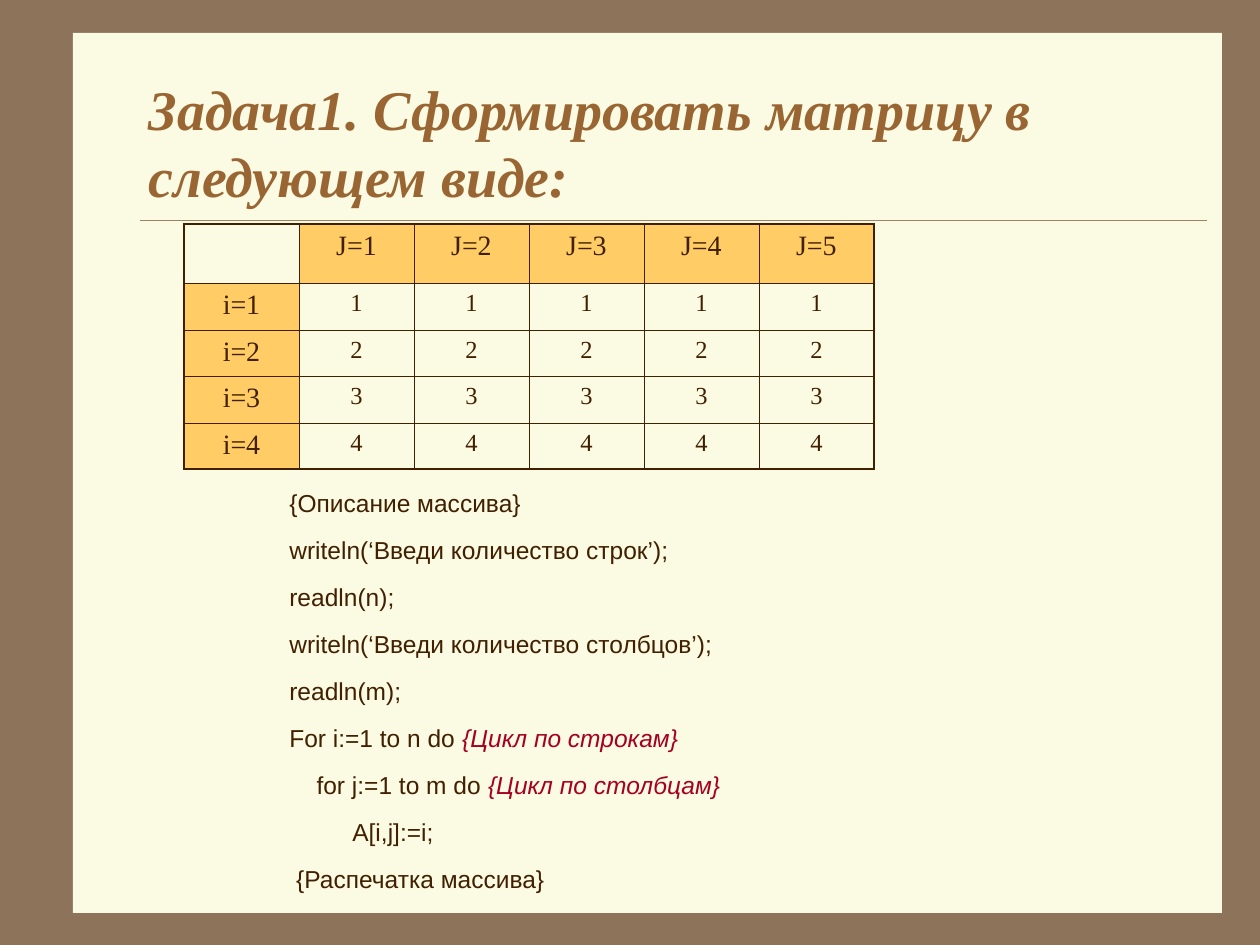
from dataclasses import dataclass

from lxml import etree
from pptx import Presentation
from pptx import util as u
from pptx.dml.color import RGBColor
from pptx.enum import shapes, text
from pptx.oxml import ns


@dataclass(frozen=True)
class Theme:
    frame: str = "8C735A"
    paper: str = "FBFAE2"
    rule: str = "A08366"
    title: str = "996633"
    ink: str = "402000"
    header: str = "FFCC66"
    comment: str = "A50021"
    serif: str = "Times New Roman"
    sans: str = "Arial"
    title_size: int = 32
    header_size: int = 16
    body_size: int = 14
    rule_width: float = 0.25
    inner_border: float = 0.45
    outer_border: float = 1.08


THEME = Theme()
EMU_PER_PX = u.Inches(1) / 126
COLUMN_WIDTH = 115
ROW_HEIGHTS = [59, 47, 46, 47, 46]
MATRIX = [["", *(f"J={j}" for j in range(1, 6))]]
MATRIX += [[f"i={i}", *[str(i)] * 5] for i in range(1, 5)]
# Each line of the program: code, then its comment
PROGRAM = [
    ("{Описание массива}", ""),
    ("writeln(‘Введи количество строк’);", ""),
    ("readln(n);", ""),
    ("writeln(‘Введи количество столбцов’);", ""),
    ("readln(m);", ""),
    ("For i:=1 to n do ", "{Цикл по строкам}"),
    ("    for j:=1 to m do ", "{Цикл по столбцам}"),
    ("\tA[i,j]:=i;", ""),
    (" {Распечатка массива}", ""),
]


def px(*lengths):
    return [u.Emu(round(length * EMU_PER_PX)) for length in lengths]


def rgb(color):
    return RGBColor.from_string(color)


def style(font, name, size, color, bold=False, italic=False):
    font.name, font.size = name, u.Pt(size)
    font.color.rgb = rgb(color)
    font.bold, font.italic = bold, italic


def add_panel(slide):
    panel = slide.shapes.add_shape(shapes.MSO_SHAPE.RECTANGLE, *px(73, 33, 1149, 880))
    panel.shadow.inherit = False
    panel.fill.solid()
    panel.fill.fore_color.rgb = rgb(THEME.paper)
    panel.line.fill.background()
    return panel


def add_rule(slide):
    rule = slide.shapes.add_connector(
        shapes.MSO_CONNECTOR.STRAIGHT, *px(140, 220, 1207, 220))
    rule.line.color.rgb = rgb(THEME.rule)
    rule.line.width = u.Pt(THEME.rule_width)
    etree.SubElement(rule._element.spPr, ns.qn("a:effectLst"))
    return rule


def fill_title(title):
    title.left, title.top, title.width, title.height = px(136, 63, 1071, 158)
    frame = title.text_frame
    frame.text = "Задача1. Сформировать матрицу в следующем виде:"
    frame.auto_size = text.MSO_AUTO_SIZE.NONE
    frame.vertical_anchor = text.MSO_ANCHOR.MIDDLE
    paragraph = frame.paragraphs[0]
    paragraph.alignment = text.PP_ALIGN.LEFT
    style(paragraph.runs[0].font, THEME.serif, THEME.title_size, THEME.title,
          bold=True, italic=True)


def set_borders(cell, outer_sides):
    """Draw all four sides, thicker on the table's outer edge."""
    properties = cell._tc.get_or_add_tcPr()
    for index, side in enumerate("LRTB"):
        width = THEME.outer_border if side in outer_sides else THEME.inner_border
        line = etree.Element(ns.qn(f"a:ln{side}"), w=str(u.Pt(width)))
        fill = etree.SubElement(line, ns.qn("a:solidFill"))
        etree.SubElement(fill, ns.qn("a:srgbClr"), val=THEME.ink)
        properties.insert(index, line)


def fill_cell(cell, value, is_header):
    cell.margin_left = cell.margin_right = u.Inches(0.1)
    cell.margin_top = cell.margin_bottom = u.Inches(0.05)
    if is_header and value:
        cell.fill.solid()
        cell.fill.fore_color.rgb = rgb(THEME.header)
    else:
        cell.fill.background()
    cell.text_frame.text = value
    paragraph = cell.text_frame.paragraphs[0]
    paragraph.alignment = text.PP_ALIGN.CENTER
    size = THEME.header_size if is_header else THEME.body_size
    for run in paragraph.runs:
        style(run.font, THEME.serif, size, THEME.ink)


def add_matrix(slide):
    row_count, column_count = len(MATRIX), len(MATRIX[0])
    table = slide.shapes.add_table(
        row_count, column_count,
        *px(184, 224, COLUMN_WIDTH * column_count, sum(ROW_HEIGHTS))).table
    table.first_row = table.horz_banding = False
    for column in table.columns:
        column.width, = px(COLUMN_WIDTH)
    for row, height in zip(table.rows, ROW_HEIGHTS):
        row.height, = px(height)
    for i, values in enumerate(MATRIX):
        for j, value in enumerate(values):
            cell = table.cell(i, j)
            fill_cell(cell, value, i == 0 or j == 0)
            edges = {"L": j == 0, "R": j == column_count - 1,
                     "T": i == 0, "B": i == row_count - 1}
            set_borders(cell, [side for side, outer in edges.items() if outer])


def add_program(slide):
    frame = slide.shapes.add_textbox(*px(277, 464, 983, 484)).text_frame
    frame.word_wrap = True
    frame.text = "\n".join(code for code, _ in PROGRAM)
    for paragraph, (_, comment) in zip(frame.paragraphs, PROGRAM):
        paragraph.line_spacing = 1.6
        style(paragraph.runs[0].font, THEME.sans, THEME.body_size, THEME.ink)
        if comment:
            run = paragraph.add_run()
            run.text = comment
            style(run.font, THEME.sans, THEME.body_size, THEME.comment, italic=True)


def main():
    presentation = Presentation()
    presentation.slide_width, presentation.slide_height = px(1260, 945)
    slide = presentation.slides.add_slide(presentation.slide_layouts[5])
    slide.background.fill.solid()
    slide.background.fill.fore_color.rgb = rgb(THEME.frame)
    title = slide.shapes.title
    for backdrop in (add_panel(slide), add_rule(slide)):
        title._element.addprevious(backdrop._element)
    fill_title(title)
    add_matrix(slide)
    add_program(slide)
    presentation.save("out.pptx")


if __name__ == "__main__":
    main()
